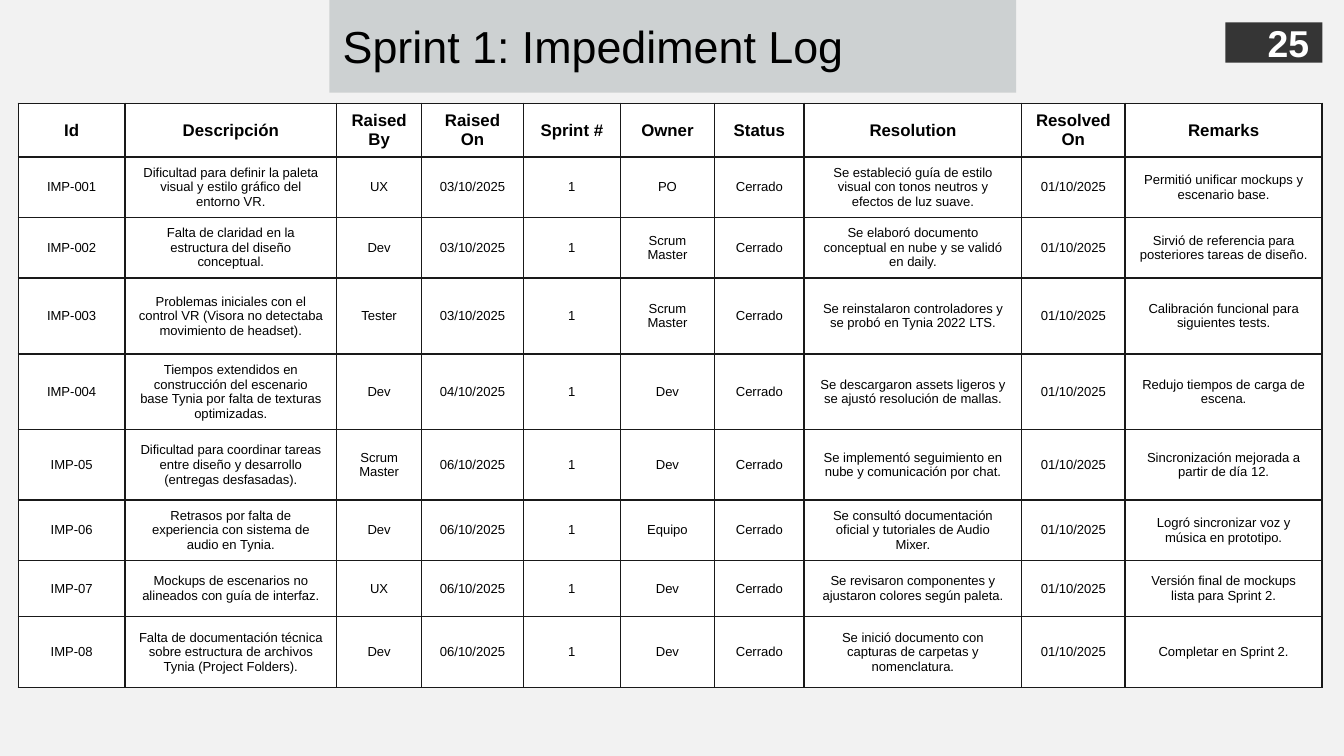
from lxml import etree
from pptx import Presentation, util as u
from pptx.dml import color as c
from pptx.enum import shapes, text
from pptx.oxml import ns

FONT = "Arial"
INK, WHITE, DARK = "000000", "FFFFFF", "191919"
BACKGROUND, TITLE_GREY = "F2F2F2", "C4C9CA"
LEFT, CENTER, RIGHT = text.PP_ALIGN.LEFT, text.PP_ALIGN.CENTER, text.PP_ALIGN.RIGHT

COLUMN_WIDTHS = [57, 113.5, 45.5, 54.5, 52, 50.5, 48, 116.5, 55.5, 105.5]
ROW_HEIGHTS = [28.8, 32.4, 32.4, 40.6, 40.6, 37.8, 32.4, 30, 38]
HEADERS = ["Id", "Descripción", "Raised By", "Raised On", "Sprint #", "Owner",
           "Status", "Resolution", "Resolved On", "Remarks"]

# Values shared by every impediment
SPRINT, STATUS, RESOLVED_ON = "1", "Cerrado", "01/10/2025"

# Id, description, raised by, raised on, owner, resolution, remarks
IMPEDIMENTS = [
    ("IMP-001", "Dificultad para definir la paleta visual y estilo gráfico del entorno VR.",
     "UX", "03/10/2025", "PO",
     "Se estableció guía de estilo visual con tonos neutros y efectos de luz suave.",
     "Permitió unificar mockups y escenario base."),
    ("IMP-002", "Falta de claridad en la estructura del diseño conceptual.",
     "Dev", "03/10/2025", "Scrum Master",
     "Se elaboró documento conceptual en nube y se validó en daily.",
     "Sirvió de referencia para posteriores tareas de diseño."),
    ("IMP-003", "Problemas iniciales con el control VR (Visora no detectaba movimiento de headset).",
     "Tester", "03/10/2025", "Scrum Master",
     "Se reinstalaron controladores y se probó en Tynia 2022 LTS.",
     "Calibración funcional para siguientes tests."),
    ("IMP-004", "Tiempos extendidos en construcción del escenario base Tynia por falta de "
     "texturas optimizadas.",
     "Dev", "04/10/2025", "Dev",
     "Se descargaron assets ligeros y se ajustó resolución de mallas.",
     "Redujo tiempos de carga de escena."),
    ("IMP-05", "Dificultad para coordinar tareas entre diseño y desarrollo (entregas desfasadas).",
     "Scrum Master", "06/10/2025", "Dev",
     "Se implementó seguimiento en nube y comunicación por chat.",
     "Sincronización mejorada a partir de día 12."),
    ("IMP-06", "Retrasos por falta de experiencia con sistema de audio en Tynia.",
     "Dev", "06/10/2025", "Equipo",
     "Se consultó documentación oficial y tutoriales de Audio Mixer.",
     "Logró sincronizar voz y música en prototipo."),
    ("IMP-07", "Mockups de escenarios no alineados con guía de interfaz.",
     "UX", "06/10/2025", "Dev",
     "Se revisaron componentes y ajustaron colores según paleta.",
     "Versión final de mockups lista para Sprint 2."),
    ("IMP-08", "Falta de documentación técnica sobre estructura de archivos Tynia (Project Folders).",
     "Dev", "06/10/2025", "Dev",
     "Se inició documento con capturas de carpetas y nomenclatura.",
     "Completar en Sprint 2."),
]


def rgb(value):
    return c.RGBColor.from_string(value)


def fill_solid(fill, value):
    fill.solid()
    fill.fore_color.rgb = rgb(value)


def add_alpha(parent, percent):
    """Make the first colour inside an element partly transparent."""
    colour = next(parent.iter(ns.qn("a:srgbClr")))
    etree.SubElement(colour, ns.qn("a:alpha")).set("val", str(percent * 1000))


def write(frame, words, size, align, color=INK, bold=False):
    paragraph = frame.paragraphs[0]
    paragraph.alignment = align
    run = paragraph.add_run()
    run.text = words
    font = run.font
    font.name, font.size, font.bold = FONT, u.Pt(size), bold
    font.color.rgb = rgb(color)


def format_box(shape, box, color, opacity):
    """Place a box, give it a see-through fill and centre its text vertically."""
    shape.left, shape.top, shape.width, shape.height = (u.Pt(length) for length in box)
    fill_solid(shape.fill, color)
    add_alpha(shape.fill._xPr, opacity)
    shape.line.fill.background()
    frame = shape.text_frame
    frame.auto_size = text.MSO_AUTO_SIZE.NONE
    frame.word_wrap = True
    frame.vertical_anchor = text.MSO_ANCHOR.MIDDLE
    return frame


def add_title(slide):
    frame = format_box(slide.shapes.title, (176.4, -0.7, 368, 50.4), TITLE_GREY, 80)
    frame.margin_left = frame.margin_right = u.Pt(7.2)
    frame.margin_top = frame.margin_bottom = u.Pt(7.2)
    write(frame, "Sprint 1: Impediment Log", 24, LEFT)


def add_page_number(slide):
    shape = slide.shapes.add_shape(shapes.MSO_SHAPE.RECTANGLE, 0, 0, 0, 0)
    shape.shadow.inherit = False
    frame = format_box(shape, (656.5, 12, 52, 21.6), DARK, 87)
    write(frame, "25", 20, RIGHT, WHITE, True)


def add_borders(cell):
    properties = cell._tc.get_or_add_tcPr()
    for side in ("lnL", "lnR", "lnT", "lnB"):
        line = etree.SubElement(properties, ns.qn(f"a:{side}"), w=str(u.Pt(1)))
        fill = etree.SubElement(line, ns.qn("a:solidFill"))
        etree.SubElement(fill, ns.qn("a:srgbClr"), val=DARK)
        add_alpha(line, 58)


def format_cell(cell, words, is_header):
    add_borders(cell)
    fill_solid(cell.fill, WHITE)
    cell.vertical_anchor = text.MSO_ANCHOR.MIDDLE
    write(cell.text_frame, words, 9 if is_header else 7, CENTER, bold=is_header)


def add_log(slide):
    rows = [HEADERS]
    for name, description, raised_by, raised_on, owner, resolution, remarks in IMPEDIMENTS:
        rows.append([name, description, raised_by, raised_on, SPRINT, owner,
                     STATUS, resolution, RESOLVED_ON, remarks])
    table = slide.shapes.add_table(
        len(rows), len(HEADERS), u.Pt(9.9), u.Pt(55.4),
        u.Pt(sum(COLUMN_WIDTHS)), u.Pt(sum(ROW_HEIGHTS))).table
    table.first_row = table.horz_banding = False
    for column, width in zip(table.columns, COLUMN_WIDTHS):
        column.width = u.Pt(width)
    for index, (row, height) in enumerate(zip(table.rows, ROW_HEIGHTS)):
        row.height = u.Pt(height)
        for cell, words in zip(row.cells, rows[index]):
            format_cell(cell, words, index == 0)


def main():
    presentation = Presentation()
    presentation.slide_width, presentation.slide_height = u.Pt(720), u.Pt(405)
    slide = presentation.slides.add_slide(presentation.slide_layouts[5])
    fill_solid(slide.background.fill, BACKGROUND)

    # Heading, log table and page number
    add_title(slide)
    add_log(slide)
    add_page_number(slide)
    presentation.save("out.pptx")


if __name__ == "__main__":
    main()
